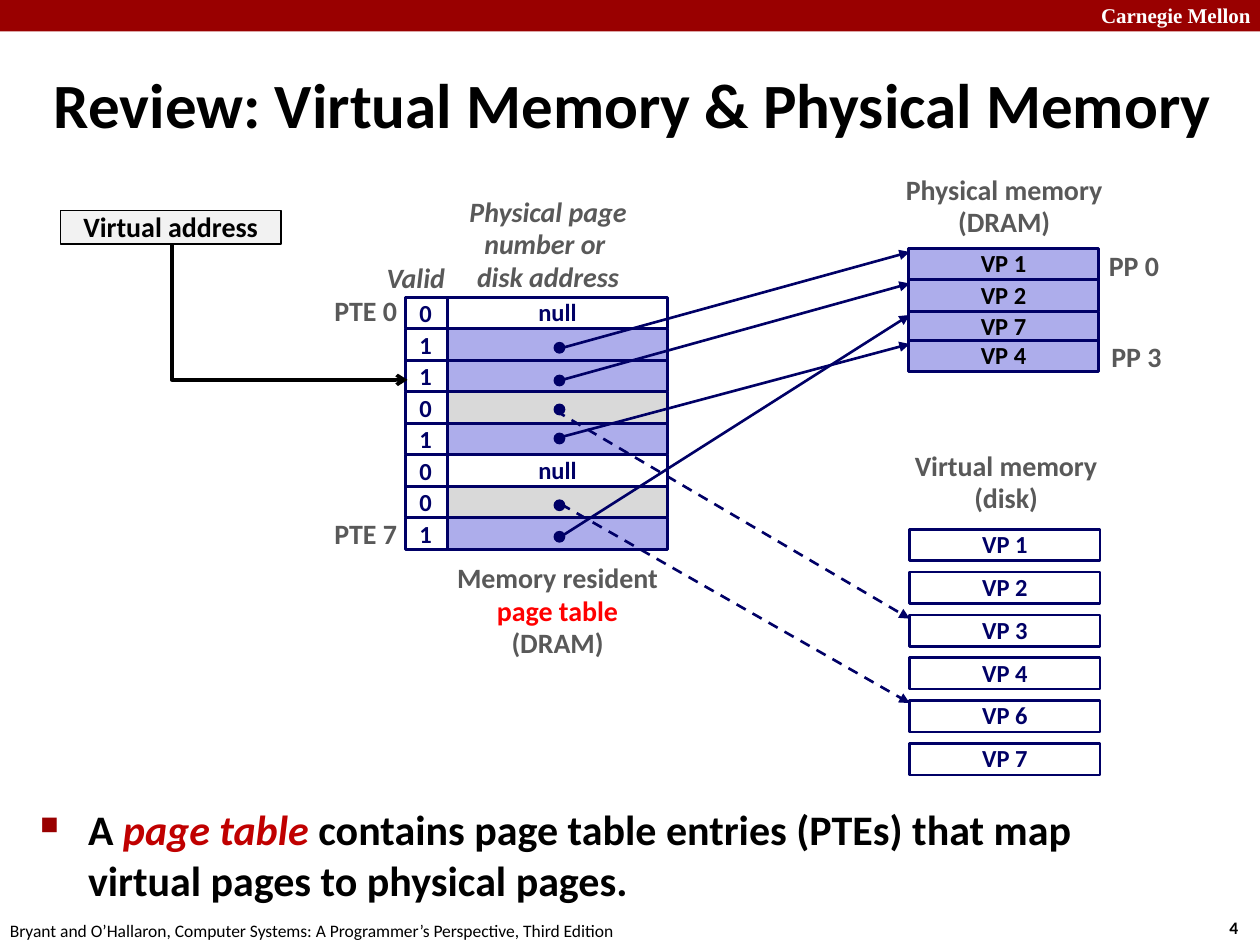
from lxml import etree
from pptx import Presentation
from pptx import util as u
from pptx.dml.color import RGBColor
from pptx.enum import dml, shapes, text
from pptx.oxml.ns import qn

COLORS = {
    "crimson": "990000", "white": "FFFFFF", "black": "000000", "navy": "000066",
    "lavender": "ADADEB", "gray": "D9D9D9", "pale": "F2F2F2", "label": "595959",
    "red": "FF0000", "emphasis": "C00000",
}
ROW = 0.25
TABLE_TOP = 2.36
DISK_TOP = 4.2
DISK_STEP = 0.34
PAGE_TABLE = [
    ("0", "white", "null"), ("1", "lavender", ""), ("1", "lavender", ""), ("0", "gray", ""),
    ("1", "lavender", ""), ("0", "white", "null"), ("0", "gray", ""), ("1", "lavender", ""),
]
PHYSICAL_PAGES = [("VP 1", 1.97), ("VP 2", 2.22), ("VP 7", 2.47), ("VP 4", 2.7)]
DISK_PAGES = ["VP 1", "VP 2", "VP 3", "VP 4", "VP 6", "VP 7"]
MAPPINGS = [
    (4.43, 2.77, 2.0, False), (4.48, 3.01, 2.25, False), (4.41, 3.26, 4.91, True),
    (4.45, 3.47, 2.73, False), (4.45, 4.0, 5.58, True), (4.45, 4.26, 2.5, False),
]
DOT_TOPS = [2.72, 2.98, 3.21, 3.44, 3.97, 4.22]
LEFT, CENTER, RIGHT = text.PP_ALIGN.LEFT, text.PP_ALIGN.CENTER, text.PP_ALIGN.RIGHT
TOP, MIDDLE = text.MSO_ANCHOR.TOP, text.MSO_ANCHOR.MIDDLE


def rgb(name):
    """Return the named colour."""
    return RGBColor.from_string(COLORS[name])


def add_run(paragraph, content, size, color, bold=True, italic=False, font="Calibri"):
    """Append one styled run to a paragraph."""
    run = paragraph.add_run()
    run.text = content
    run.font.name = font
    run.font.size = u.Pt(size)
    run.font.bold = bold
    run.font.italic = italic
    run.font.color.rgb = rgb(color)


def add_text(slide, box, lines, size=16, color="label", align=LEFT, anchor=TOP,
             wrap=False, spacing=0.98, **style):
    """Add a text box with one paragraph per line; a line may carry its own colour."""
    shape = slide.shapes.add_textbox(*map(u.Inches, box))
    frame = shape.text_frame
    frame.word_wrap = wrap
    frame.vertical_anchor = anchor
    for index, line in enumerate(lines):
        content, line_color = line if isinstance(line, tuple) else (line, color)
        paragraph = frame.add_paragraph() if index else frame.paragraphs[0]
        paragraph.alignment = align
        paragraph.line_spacing = spacing
        add_run(paragraph, content, size, line_color, **style)


def add_box(slide, box, fill, line="navy", label="", color="navy", size=14, width=1.5,
            kind=shapes.MSO_SHAPE.RECTANGLE):
    """Add a filled shape with an optional centred label."""
    shape = slide.shapes.add_shape(kind, *map(u.Inches, box))
    shape.shadow.inherit = False
    if fill:
        shape.fill.solid()
        shape.fill.fore_color.rgb = rgb(fill)
    else:
        shape.fill.background()
    if line:
        shape.line.color.rgb = rgb(line)
        shape.line.width = u.Pt(width)
    else:
        shape.line.fill.background()
    if label:
        frame = shape.text_frame
        frame.word_wrap = False
        frame.vertical_anchor = MIDDLE
        paragraph = frame.paragraphs[0]
        paragraph.alignment = CENTER
        paragraph.line_spacing = 0.98
        add_run(paragraph, label, size, color)


def add_arrow(slide, start, end, color="navy", width=1.5, dashed=False, head="triangle",
              kind=shapes.MSO_CONNECTOR.STRAIGHT):
    """Add a connector with an arrowhead at its end."""
    connector = slide.shapes.add_connector(kind, *map(u.Inches, (*start, *end)))
    connector.line.color.rgb = rgb(color)
    connector.line.width = u.Pt(width)
    if dashed:
        connector.line.dash_style = dml.MSO_LINE.DASH
    properties = connector._element.spPr
    etree.SubElement(properties.find(qn("a:ln")), qn("a:tailEnd"), type=head)
    etree.SubElement(properties, qn("a:effectLst"))
    return connector


def add_corner_arrow(slide):
    """Add the one-bend arrow from the virtual address to its table entry."""
    connector = add_arrow(slide, (2.84, 1.54), (1.76, 3.41), "black", 2, head="arrow",
                          kind=shapes.MSO_CONNECTOR.ELBOW)
    properties = connector._element.spPr
    properties.find(qn("a:xfrm")).set("rot", str(270 * 60000))
    properties.find(qn("a:prstGeom")).set("prst", "bentConnector2")


def add_bullet(slide):
    """Add the bulleted statement below the diagram."""
    shape = slide.shapes.add_textbox(*map(u.Inches, (0.22, 6.33, 9.09, 0.96)))
    shape.text_frame.word_wrap = True
    paragraph = shape.text_frame.paragraphs[0]
    properties = paragraph._p.get_or_add_pPr()
    properties.set("marL", str(u.Inches(0.38)))
    properties.set("indent", str(-u.Inches(0.38)))
    bullet_color = etree.SubElement(properties, qn("a:buClr"))
    etree.SubElement(bullet_color, qn("a:srgbClr"), val=COLORS["crimson"])
    etree.SubElement(properties, qn("a:buSzPct"), val="60000")
    etree.SubElement(properties, qn("a:buChar"), char="■")
    add_run(paragraph, "A ", 24, "black")
    add_run(paragraph, "page table ", 24, "emphasis", italic=True)
    add_run(paragraph, "contains page table entries (PTEs) that map virtual pages "
            "to physical pages.", 24, "black")


def add_frame(slide):
    """Add the header band, title and footer."""
    add_box(slide, (0, 0, 10, 0.25), "crimson", line=None)
    add_text(slide, (8.64, -0.03, 1.43, 0.3), ["Carnegie Mellon"], 12, "white",
             wrap=True, spacing=1, font="Times New Roman")
    add_text(slide, (9.66, 7.23, 0.37, 0.27), ["4"], 10, "black", spacing=1)
    add_text(slide, (-0.02, 7.25, 5.08, 0.27),
             ["Bryant and O’Hallaron, Computer Systems: A Programmer’s Perspective, Third Edition"],
             10, "black", spacing=1, bold=False)
    add_text(slide, (0.33, 0.39, 9.51, 0.86), ["Review: Virtual Memory & Physical Memory"],
             36, "black", anchor=MIDDLE, wrap=True, spacing=1)


def add_page_table(slide):
    """Add the page table with its valid bits and labels."""
    for index, (valid, fill, label) in enumerate(PAGE_TABLE):
        top = TABLE_TOP + index * ROW
        add_box(slide, (3.55, top, 1.75, ROW), fill, label=label)
        add_box(slide, (3.22, top, 0.33, ROW), None)
        add_text(slide, (3.23, top - 0.03, 0.31, 0.33), [valid], 14, "navy")
    add_text(slide, (2.97, 2.03, 0.75, 0.37), ["Valid"], wrap=True, italic=True)
    add_text(slide, (3.62, 1.5, 1.46, 0.89), ["Physical page", "number or ", "disk address"],
             align=CENTER, anchor=MIDDLE, italic=True)
    add_text(slide, (3.5, 4.41, 1.85, 0.89),
             ["Memory resident", ("page table", "red"), "(DRAM)"], align=CENTER)
    for label, top in (("PTE 0", 2.29), ("PTE 7", 4.06)):
        add_text(slide, (2.55, top, 0.7, 0.37), [label], align=RIGHT, anchor=MIDDLE)


def add_memories(slide):
    """Add the physical memory and the disk pages."""
    add_text(slide, (7.08, 1.33, 1.78, 0.63), ["Physical memory", "(DRAM)"], align=CENTER)
    for label, top in PHYSICAL_PAGES:
        add_box(slide, (7.21, top, 1.51, ROW), "lavender", label=label, color="black")
    for label, left, top in (("PP 0", 8.7, 1.93), ("PP 3", 8.72, 2.65)):
        add_text(slide, (left, top, 0.6, 0.37), [label], align=CENTER, anchor=MIDDLE)
    add_text(slide, (7.14, 3.52, 1.69, 0.63), ["Virtual memory", "(disk)"], align=CENTER)
    for index, label in enumerate(DISK_PAGES):
        add_box(slide, (7.22, DISK_TOP + index * DISK_STEP, 1.51, ROW), "white", label=label)


def add_mappings(slide):
    """Add the arrows from table entries to pages, with their dots."""
    for left, top, target, dashed in MAPPINGS:
        add_arrow(slide, (left, top), (7.22, target), dashed=dashed)
    for top in DOT_TOPS:
        add_box(slide, (4.4, top, 0.08, 0.08), "navy", width=1, kind=shapes.MSO_SHAPE.OVAL)


def main():
    """Build and save the slide."""
    presentation = Presentation()
    presentation.slide_width = u.Inches(10)
    presentation.slide_height = u.Inches(7.5)
    slide = presentation.slides.add_slide(presentation.slide_layouts[6])
    add_frame(slide)
    add_page_table(slide)
    add_memories(slide)
    add_mappings(slide)
    add_box(slide, (0.48, 1.67, 1.75, 0.27), "pale", "black", "Virtual address", "black", 16, 1)
    add_corner_arrow(slide)
    add_bullet(slide)
    presentation.save("out.pptx")


if __name__ == "__main__":
    main()
